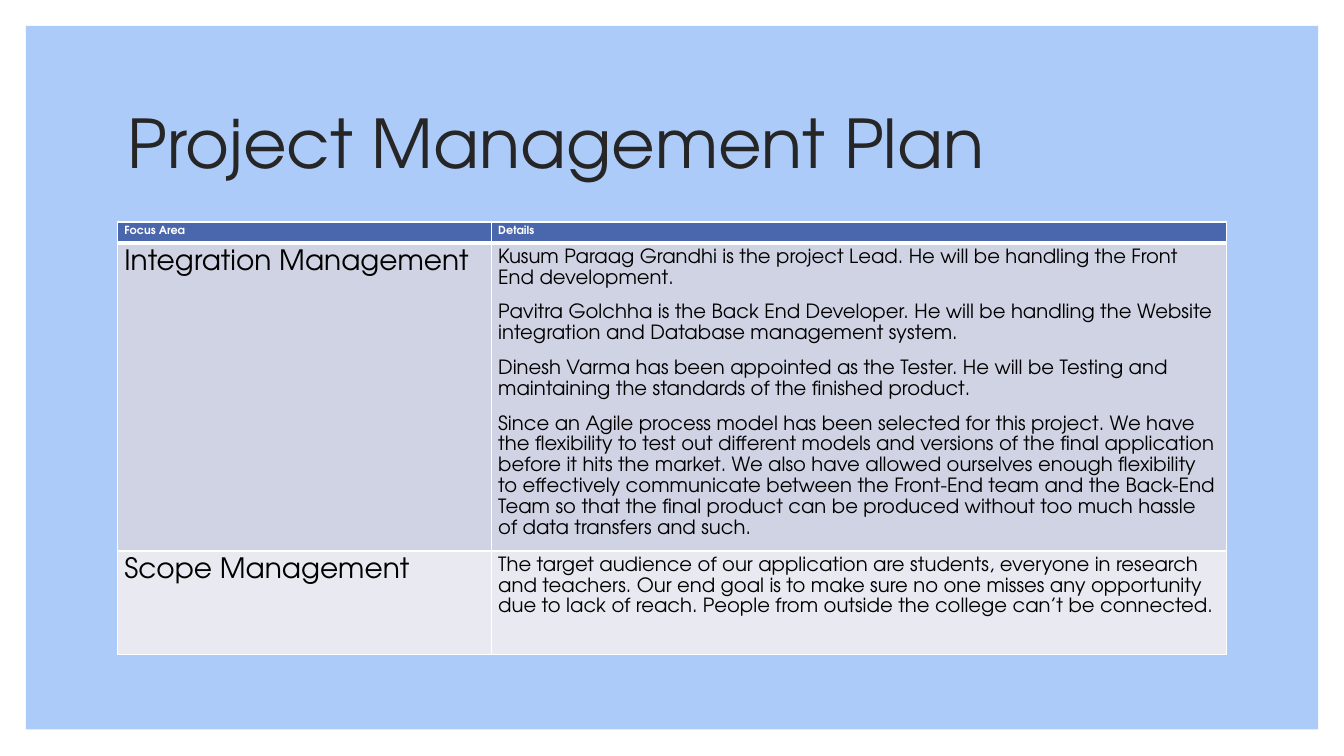
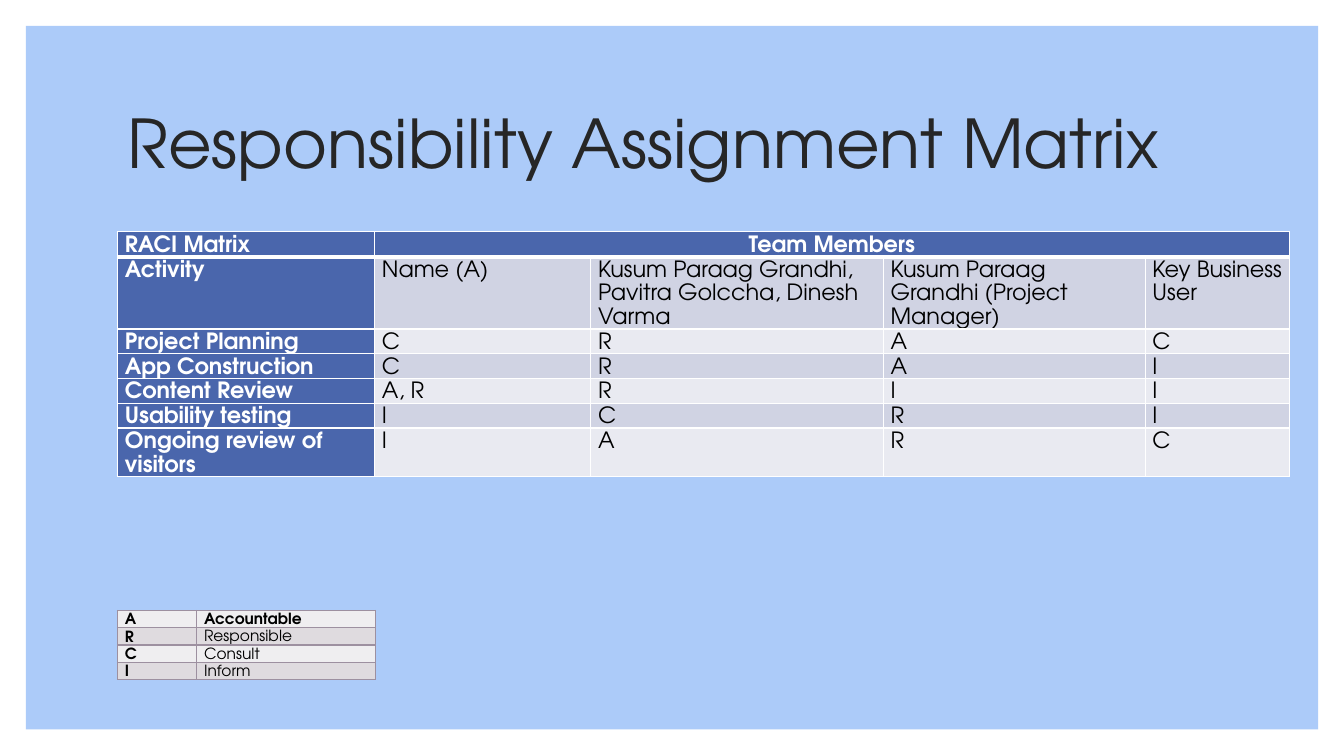
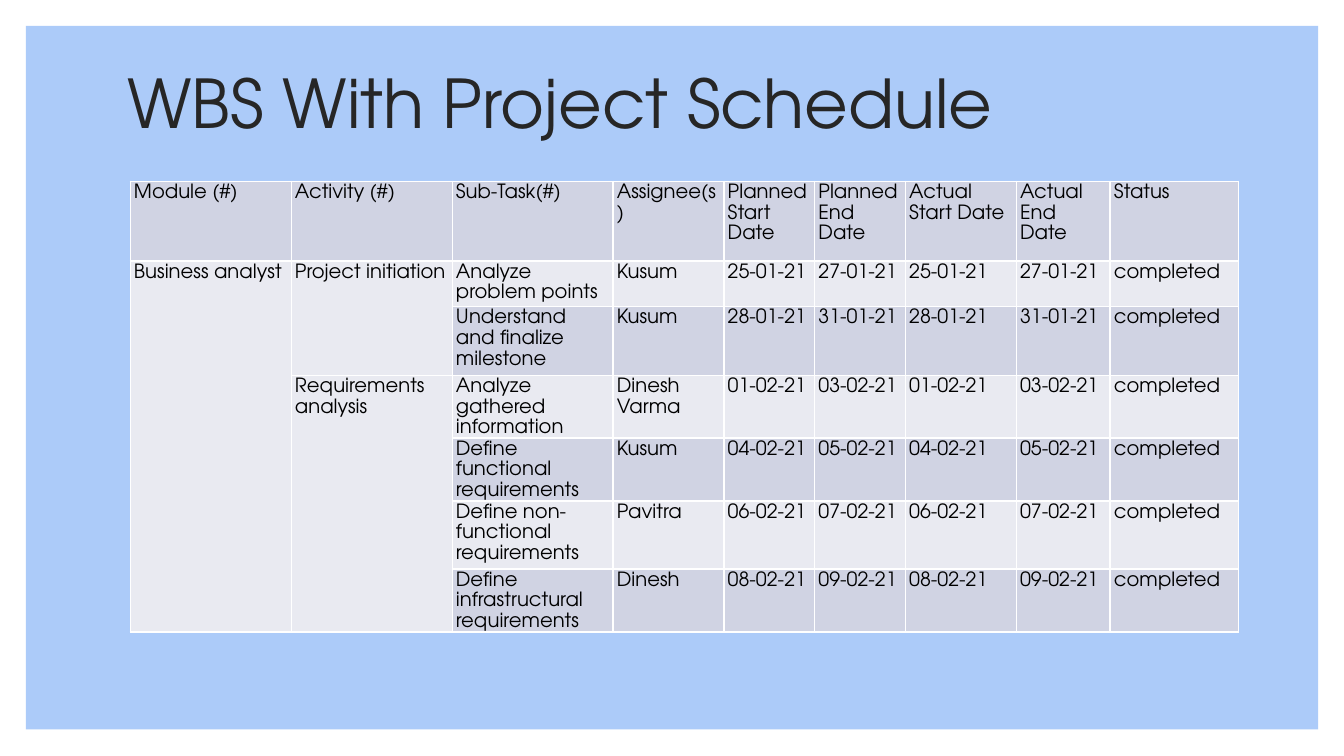
from lxml import etree
from pptx import Presentation
from pptx.dml.color import RGBColor
from pptx.enum import shapes, text
from pptx.oxml import ns
from pptx.util import Pt

FONT = "TeX Gyre Adventor"
SKY = RGBColor(0xAC, 0xCB, 0xF9)
TITLE_INK = RGBColor(0x26, 0x26, 0x26)
BLACK = RGBColor(0, 0, 0)
WHITE = RGBColor(0xFF, 0xFF, 0xFF)
HEAD_BLUE = RGBColor(0x4A, 0x66, 0xAC)
BLUE_BANDS = (RGBColor(0xD0, 0xD3, 0xE3), RGBColor(0xE9, 0xEA, 0xF1))
GREY_BANDS = (RGBColor(0xEF, 0xEE, 0xF0), RGBColor(0xDF, 0xDB, 0xDF))
GREY_LINE = RGBColor(0x9D, 0x90, 0xA0)
LINE_PITCH = 1.06  # line height in table cells, per point of text size

deck = Presentation()
deck.slide_width, deck.slide_height = Pt(960), Pt(540)


def titled_slide(title, top):
    """Add a slide with the sky panel and its title."""
    slide = deck.slides.add_slide(deck.slide_layouts[6])
    panel = slide.shapes.add_shape(shapes.MSO_SHAPE.RECTANGLE, Pt(18.5), Pt(18.5), Pt(923), Pt(502.5))
    panel.shadow.inherit = False
    panel.fill.solid()
    panel.fill.fore_color.rgb = SKY
    panel.line.fill.background()
    frame = slide.shapes.add_textbox(Pt(84), Pt(top), Pt(792), Pt(108)).text_frame
    frame.word_wrap = True
    frame.vertical_anchor = text.MSO_ANCHOR.MIDDLE
    frame.text = title
    heading = frame.paragraphs[0]
    heading.line_spacing = 0.9
    heading.font.name, heading.font.size = FONT, Pt(48)
    heading.font.color.rgb = TITLE_INK
    return slide


def draw_table(slide, left, top, widths, heights, rows, sizes, insets, spans=(),
               head_rows=0, head_cols=0, head_size=None, bands=BLUE_BANDS, line=WHITE):
    """Draw a banded table; sizes holds the text size of each column."""
    table = slide.shapes.add_table(len(heights), len(widths), Pt(left), Pt(top),
                                   Pt(sum(widths)), Pt(sum(heights))).table
    table.first_row = table.horz_banding = False
    for column, width in zip(table.columns, widths):
        column.width = Pt(width)
    for row, height in zip(table.rows, heights):
        row.height = Pt(height)
    for r, row in enumerate(rows):
        for c, words in enumerate(row):
            cell = table.cell(r, c)
            head = r < head_rows or c < head_cols
            # Borders, heavier under the header row
            for side in "LRTB":
                heavy = head_rows and (side, r) in (("B", head_rows - 1), ("T", head_rows))
                border = etree.SubElement(cell._tc.get_or_add_tcPr(), ns.qn("a:ln" + side),
                                          w=str(Pt(3 if heavy else 1)))
                ink = etree.SubElement(border, ns.qn("a:solidFill"))
                etree.SubElement(ink, ns.qn("a:srgbClr"), val=str(line))
            cell.fill.solid()
            cell.fill.fore_color.rgb = HEAD_BLUE if head else bands[(r - head_rows) % 2]
            cell.margin_left = cell.margin_right = Pt(insets[0])
            cell.margin_top, cell.margin_bottom = Pt(insets[1]), Pt(insets[2])
            cell.text = words
            size = head_size if head and head_size else sizes[c]
            for paragraph in cell.text_frame.paragraphs:
                paragraph.line_spacing = Pt(size * LINE_PITCH)
                paragraph.space_after = Pt(10)
                font = paragraph.font
                font.name, font.size, font.bold = FONT, Pt(size), head
                font.color.rgb = WHITE if head else BLACK
    for r, c, last_r, last_c in spans:
        table.cell(r, c).merge(table.cell(last_r, last_c))
    return table


# Project management plan
integration = "\n".join([
    "Kusum Paraag Grandhi is the project Lead. He will be handling the Front End development.",
    "Pavitra Golchha is the Back End Developer. He will be handling the Website integration "
    "and Database management system.",
    "Dinesh Varma has been appointed as the Tester. He will be Testing and maintaining the "
    "standards of the finished product.",
    "Since an Agile process model has been selected for this project. We have the flexibility "
    "to test out different models and versions of the final application before it hits the "
    "market. We also have allowed ourselves enough flexibility to effectively communicate "
    "between the Front-End team and the Back-End Team so that the final product can be "
    "produced without too much hassle of data transfers and such.",
])
scope = ("The target audience of our application are students, everyone in research and teachers. "
         "Our end goal is to make sure no one misses any opportunity due to lack of reach. "
         "People from outside the college can’t be connected.")
plan_slide = titled_slide("Project Management Plan", 50.5)
draw_table(plan_slide, 84, 158.5, (267, 525), (15, 220, 74),
           [("Focus Area", "Details"),
            ("Integration Management", integration),
            ("Scope Management", scope)],
           sizes=(20, 14), insets=(4.9, 2.3, 2.3), head_rows=1, head_size=8)

# Responsibility matrix
matrix_slide = titled_slide("Responsibility Assignment Matrix", 50.5)
matrix = draw_table(
    matrix_slide, 84, 165.5, (183.5, 154.5, 209, 187, 103),
    (18, 51.5, 17.5, 17.5, 17.5, 17.5, 34.5),
    [("RACI Matrix", "Team Members", "", "", ""),
     ("Activity", "Name (A)", "Kusum Paraag Grandhi, Pavitra Golccha, Dinesh Varma",
      "Kusum Paraag Grandhi (Project Manager)", "Key Business User"),
     ("Project Planning", "C", "R", "A", "C"),
     ("App Construction", "C", "R", "A", "I"),
     ("Content Review", "A, R", "R", "I", "I"),
     ("Usability testing", "I", "C", "R", "I"),
     ("Ongoing review of visitors", "I", "A", "R", "C")],
    sizes=(16,) * 5, insets=(5.3, 0.7, 0), spans=[(0, 1, 0, 4)], head_rows=1, head_cols=1)
matrix.cell(0, 1).text_frame.paragraphs[0].alignment = text.PP_ALIGN.CENTER

# Legend of the matrix letters
legend = draw_table(matrix_slide, 84, 436, (56.5, 127.5), (12.4,) * 4,
                    [("A", "Accountable"), ("R", "Responsible"), ("C", "Consult"), ("I", "Inform")],
                    sizes=(11, 11), insets=(5.3, 0.7, 0), bands=GREY_BANDS, line=GREY_LINE)
for r, c in ((0, 0), (0, 1), (1, 0), (2, 0), (3, 0)):
    legend.cell(r, c).text_frame.paragraphs[0].font.bold = True

# Work breakdown with schedule: each task ran exactly as planned
tasks = [
    ("Business analyst", "Project initiation", "Analyze problem points", "Kusum", "25-01-21", "27-01-21"),
    ("", "", "Understand and finalize milestone", "Kusum", "28-01-21", "31-01-21"),
    ("", "Requirements analysis", "Analyze gathered information", "Dinesh Varma", "01-02-21", "03-02-21"),
    ("", "", "Define functional requirements", "Kusum", "04-02-21", "05-02-21"),
    ("", "", "Define non-functional requirements", "Pavitra", "06-02-21", "07-02-21"),
    ("", "", "Define infrastructural requirements", "Dinesh", "08-02-21", "09-02-21"),
]
schedule_head = ("Module (#)", "Activity (#)", "Sub-Task(#)", "Assignee(s)", "Planned Start Date",
                 "Planned End Date", "Actual Start Date", "Actual End Date", "Status")
schedule_slide = titled_slide("WBS With Project Schedule", 22.5)
draw_table(schedule_slide, 93, 129.5, (115, 115, 115, 79.2, 64.8, 64.8, 79.2, 67, 91.5),
           (57, 32.5, 49, 45, 45, 48.5, 45),
           [schedule_head] + [task + task[4:] + ("completed",) for task in tasks],
           sizes=(14,) * 9, insets=(2.7, 0, 0),
           spans=[(1, 0, 6, 0), (1, 1, 2, 1), (3, 1, 6, 1)])

deck.save("out.pptx")
